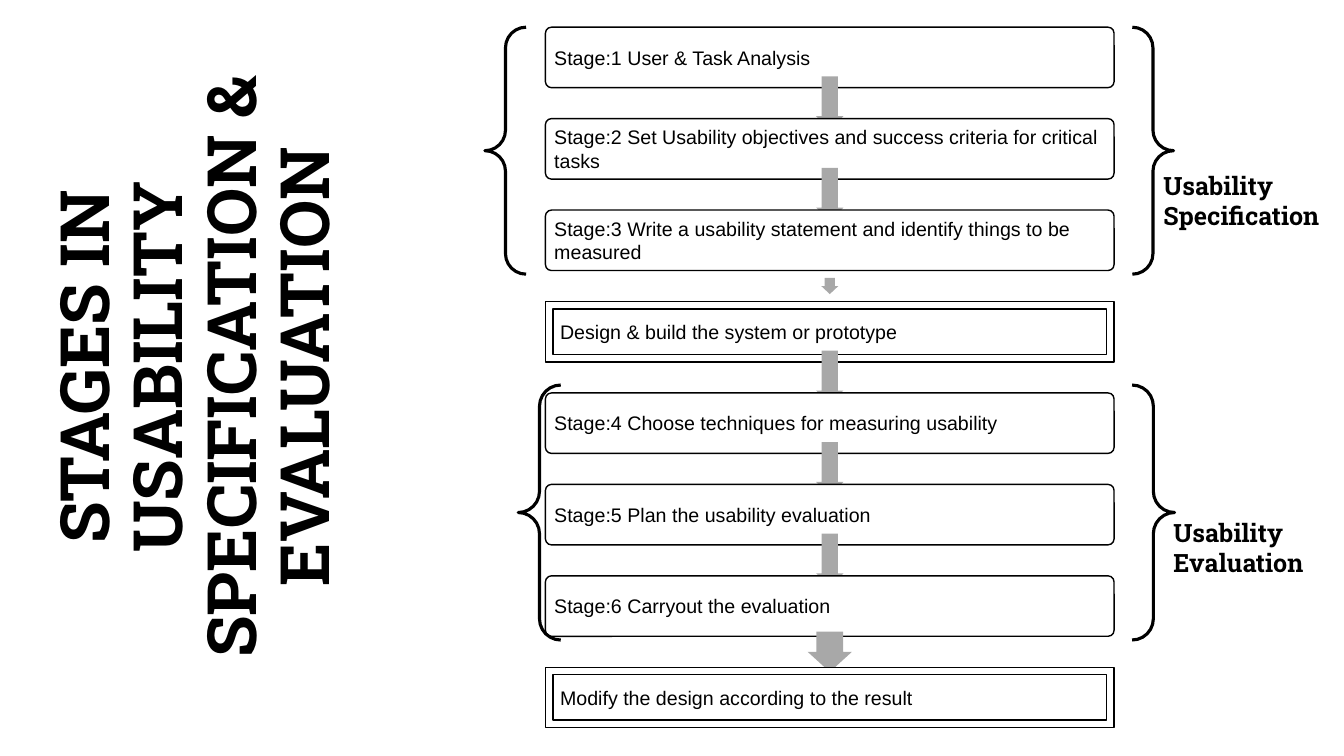
from typing import NamedTuple

from pptx import Presentation
from pptx.dml.color import RGBColor
from pptx.enum.shapes import MSO_SHAPE
from pptx.enum.text import MSO_ANCHOR, PP_ALIGN
from pptx.shapes.autoshape import Shape
from pptx.slide import Slide
from pptx.text.text import TextFrame
from pptx.util import Inches, Pt

BLACK = RGBColor(0x00, 0x00, 0x00)
WHITE = RGBColor(0xFF, 0xFF, 0xFF)
GREY = RGBColor(0xA8, 0xA8, 0xA8)

ROUND = MSO_SHAPE.ROUNDED_RECTANGLE
FRAME = MSO_SHAPE.FRAME
ARROW = MSO_SHAPE.RIGHT_ARROW
BRACES = MSO_SHAPE.DOUBLE_BRACE
MIDDLE = MSO_ANCHOR.MIDDLE
LEFT, CENTER = PP_ALIGN.LEFT, PP_ALIGN.CENTER

SANS, SLAB = "Arial", "Roboto Slab"

STEP_X, STEP_Y = 5.41, 0.27
STEP_W, STEP_H = 5.64, 0.6
PITCH = 6.35 / 7
INSET = 0.07


class Arrow(NamedTuple):
    size: float
    thick: float


class Step(NamedTuple):
    text: str
    framed: bool = False
    arrow: Arrow | None = Arrow(0.53, 0.27)


class Phase(NamedTuple):
    """A pair of braces around some steps, with its label."""
    name: str
    x: float
    y: float
    w: float
    h: float
    name_x: float
    name_y: float


STEPS = [
    Step("Stage:1 User & Task Analysis"),
    Step("Stage:2 Set Usability objectives and success criteria for critical tasks"),
    Step("Stage:3 Write a usability statement and identify things to be measured",
         arrow=Arrow(0.16, 0.17)),
    Step("Design & build the system or prototype", framed=True),
    Step("Stage:4 Choose techniques for measuring usability"),
    Step("Stage:5 Plan the usability evaluation"),
    Step("Stage:6 Carryout the evaluation", arrow=Arrow(0.4, 0.44)),
    Step("Modify the design according to the result", framed=True, arrow=None),
]

PHASES = [
    Phase("Usability Specification", 4.81, 0.27, 6.83, 2.45, 11.44, 1.64),
    Phase("Usability Evaluation", 5.14, 3.82, 6.51, 2.53, 11.54, 5.08),
]


def add_shape(slide: Slide, kind: MSO_SHAPE, x: float, y: float,
              w: float, h: float) -> Shape:
    shape = slide.shapes.add_shape(kind, Inches(x), Inches(y), Inches(w), Inches(h))
    shape.shadow.inherit = False
    return shape


def set_line(shape: Shape, width: float) -> None:
    shape.line.color.rgb = BLACK
    shape.line.width = Pt(width)


def set_fill(shape: Shape, color: RGBColor) -> None:
    shape.fill.solid()
    shape.fill.fore_color.rgb = color


def write(frame: TextFrame, text: str, face: str, size: float,
          bold: bool = False, align: PP_ALIGN = LEFT) -> None:
    frame.word_wrap = True
    frame.text = text
    para = frame.paragraphs[0]
    para.alignment = align
    para.font.name = face
    para.font.size = Pt(size)
    para.font.bold = bold
    para.font.color.rgb = BLACK


def add_title(slide: Slide) -> None:
    box = slide.shapes.add_textbox(Inches(-1.15), Inches(2.85), Inches(6.22), Inches(1.58))
    box.rotation = 270
    frame = box.text_frame
    frame.vertical_anchor = MIDDLE
    write(frame, "STAGES IN USABILITY SPECIFICATION & EVALUATION",
          SLAB, 48.6, True, CENTER)
    frame.paragraphs[0].line_spacing = 0.9


def add_arrow(slide: Slide, arrow: Arrow, mid_y: float) -> None:
    """Draw a down arrow centred on the steps at mid_y."""
    mid_x = STEP_X + STEP_W / 2
    shape = add_shape(slide, ARROW, mid_x - arrow.size / 2, mid_y - arrow.thick / 2,
                      arrow.size, arrow.thick)
    shape.rotation = 90
    shape.adjustments[0] = 0.6
    shape.adjustments[1] = 0.5
    set_fill(shape, GREY)
    shape.line.fill.background()


def add_step(slide: Slide, step: Step, y: float) -> None:
    shape = add_shape(slide, FRAME if step.framed else ROUND, STEP_X, y, STEP_W, STEP_H)
    shape.adjustments[0] = 0.125 if step.framed else 0.1
    set_fill(shape, WHITE)
    set_line(shape, 1)
    frame = shape.text_frame
    frame.margin_left = frame.margin_right = Inches(INSET)
    frame.margin_top = frame.margin_bottom = Inches(INSET)
    frame.vertical_anchor = MIDDLE
    write(frame, step.text, SANS, 14)
    if step.arrow:
        add_arrow(slide, step.arrow, y + (STEP_H + PITCH) / 2)


def add_phase(slide: Slide, phase: Phase) -> None:
    braces = add_shape(slide, BRACES, phase.x, phase.y, phase.w, phase.h)
    braces.fill.background()
    set_line(braces, 2.25)
    label = slide.shapes.add_textbox(Inches(phase.name_x), Inches(phase.name_y),
                                     Inches(1.89), Inches(0.71))
    write(label.text_frame, phase.name, SLAB, 18, True)


def main() -> None:
    deck = Presentation()
    deck.slide_width, deck.slide_height = Inches(13.33), Inches(7.5)
    slide = deck.slides.add_slide(deck.slide_layouts[6])
    add_title(slide)
    for i, step in enumerate(STEPS):
        add_step(slide, step, STEP_Y + i * PITCH)
    for phase in PHASES:
        add_phase(slide, phase)
    deck.save("out.pptx")


if __name__ == "__main__":
    main()
